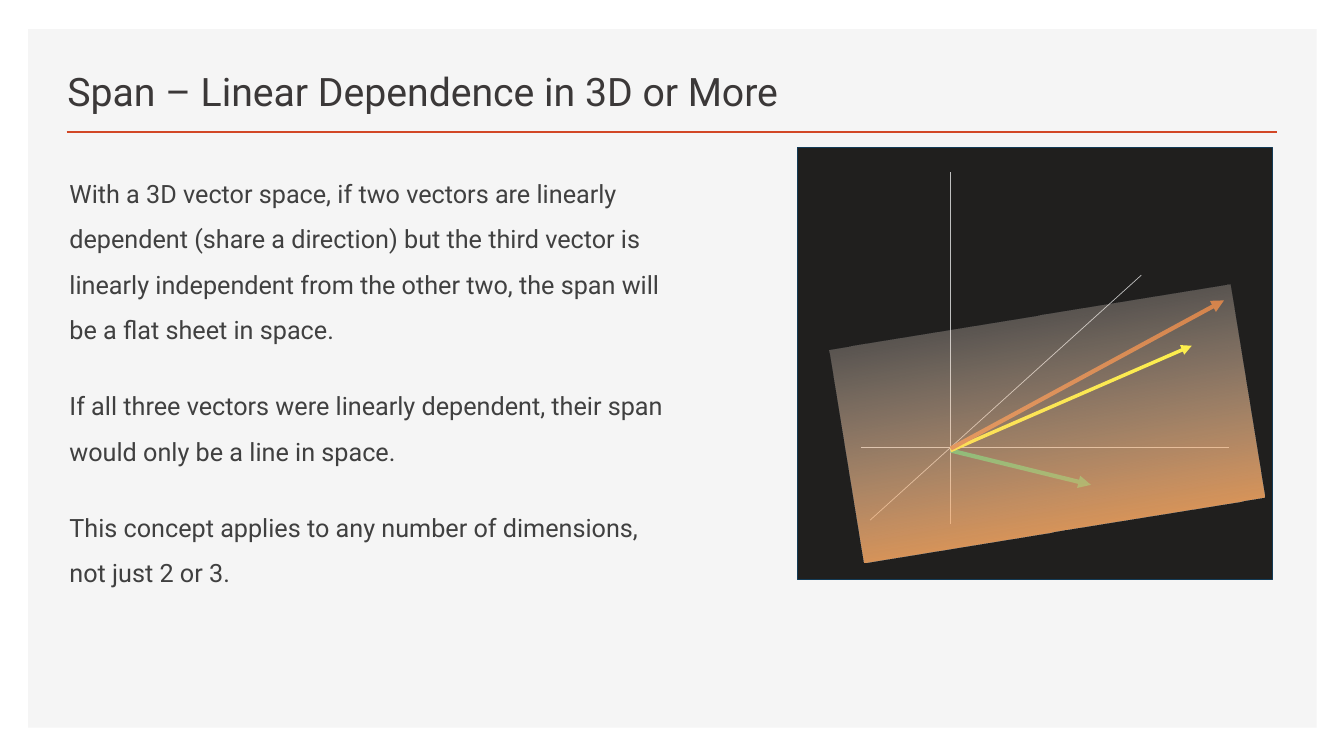
from lxml.etree import SubElement
from pptx import Presentation
from pptx.dml.color import RGBColor
from pptx.enum.shapes import MSO_CONNECTOR, MSO_SHAPE
from pptx.enum.text import MSO_ANCHOR
from pptx.oxml.ns import qn
from pptx.util import Inches, Pt

FONT = "Roboto"
COLORS = {
    "panel": "F5F5F5",
    "accent": "D24726",
    "title": "3B3838",
    "body": "404040",
    "diagram": "201F1E",
    "diagram_border": "133B57",
    "axis": "BFBFBF",
    "green": "00B050",
    "yellow": "FFFF00",
    "orange": "C55A11",
    "sheet_top": "F7FAFD",
    "sheet_bottom": "FF9B45",
}
TITLE = "Span – Linear Dependence in 3D or More"
PARAGRAPHS = [
    "With a 3D vector space, if two vectors are linearly dependent (share a direction) "
    "but the third vector is linearly independent from the other two, the span will be "
    "a flat sheet in space.",
    "If all three vectors were linearly dependent, their span would only be a line in space.",
    "This concept applies to any number of dimensions, not just 2 or 3.",
]


def rgb(name):
    return RGBColor.from_string(COLORS[name])


def add_rectangle(slide, box, fill=None, border=None):
    shape = slide.shapes.add_shape(MSO_SHAPE.RECTANGLE, *map(Inches, box))
    shape.shadow.inherit = False
    if fill:
        shape.fill.solid()
        shape.fill.fore_color.rgb = rgb(fill)
    if border:
        shape.line.color.rgb = rgb(border)
        shape.line.width = Pt(0.5)
    else:
        shape.line.fill.background()
    return shape


def add_line(slide, start, end, color, width, arrow=False):
    points = map(Inches, (*start, *end))
    connector = slide.shapes.add_connector(MSO_CONNECTOR.STRAIGHT, *points)
    connector.line.color.rgb = rgb(color)
    connector.line.width = Pt(width)
    if arrow:
        SubElement(connector.line._get_or_add_ln(), qn("a:tailEnd"), type="triangle")
    SubElement(connector._element.spPr, qn("a:effectLst"))


def add_text(slide, box, paragraphs, size, color, anchor=MSO_ANCHOR.TOP,
             line_spacing=1.0, before=0, after=0):
    frame = slide.shapes.add_textbox(*map(Inches, box)).text_frame
    frame.word_wrap = True
    frame.vertical_anchor = anchor
    for index, text in enumerate(paragraphs):
        paragraph = frame.add_paragraph() if index else frame.paragraphs[0]
        paragraph.line_spacing = line_spacing
        paragraph.space_before = Pt(before)
        paragraph.space_after = Pt(after)
        run = paragraph.add_run()
        run.text = text
        run.font.name = FONT
        run.font.size = Pt(size)
        run.font.color.rgb = rgb(color)


def add_header(slide, box):
    left, top, width, height = box
    add_text(slide, (left - 0.09, top, 7.52, 0.7), [TITLE], 28, "title",
             anchor=MSO_ANCHOR.BOTTOM, line_spacing=0.9)
    add_line(slide, (left, top + height), (left + width, top + height), "accent", 2)


def add_span_sheet(slide, box):
    sheet = add_rectangle(slide, box)
    sheet.rotation = 350.7
    sheet.fill.gradient()
    sheet.fill.gradient_angle = 270
    top_stop, bottom_stop = sheet.fill.gradient_stops
    top_stop.color.rgb = rgb("sheet_top")
    bottom_stop.color.rgb = rgb("sheet_bottom")
    top_color = sheet._element.spPr.find(".//" + qn("a:srgbClr"))
    SubElement(top_color, qn("a:alpha"), val="10000")


def add_diagram(slide, box):
    left, top, width, height = box

    def place(x, y):
        return left + x, top + y

    add_rectangle(slide, box, fill="diagram", border="diagram_border")
    axes = [
        ((1.52, 0.25), (1.52, 3.74)),
        ((0.63, 2.98), (4.28, 2.98)),
        ((0.72, 3.7), (3.41, 1.27)),
    ]
    for start, end in axes:
        add_line(slide, place(*start), place(*end), "axis", 0.5)
    vectors = [
        ((1.52, 3.01), (2.91, 3.35), "green", 3),
        ((1.52, 3.01), (3.91, 1.97), "yellow", 2.5),
        ((1.52, 2.99), (4.23, 1.52), "orange", 3),
    ]
    for start, end, color, weight in vectors:
        add_line(slide, place(*start), place(*end), color, weight, arrow=True)
    add_span_sheet(slide, (*place(0.46, 1.67), 4.03, 2.14))


def main():
    presentation = Presentation()
    presentation.slide_width = Inches(13.33)
    presentation.slide_height = Inches(7.5)
    slide = presentation.slides.add_slide(presentation.slide_layouts[6])
    add_rectangle(slide, (0.28, 0.29, 12.78, 6.93), fill="panel")
    add_header(slide, (0.66, 0.49, 12.01, 0.82))
    add_text(slide, (0.59, 1.57, 6.09, 5.44), PARAGRAPHS, 18, "body",
             line_spacing=1.5, before=10, after=12)
    add_diagram(slide, (7.91, 1.46, 4.71, 4.29))
    presentation.save("out.pptx")


if __name__ == "__main__":
    main()
